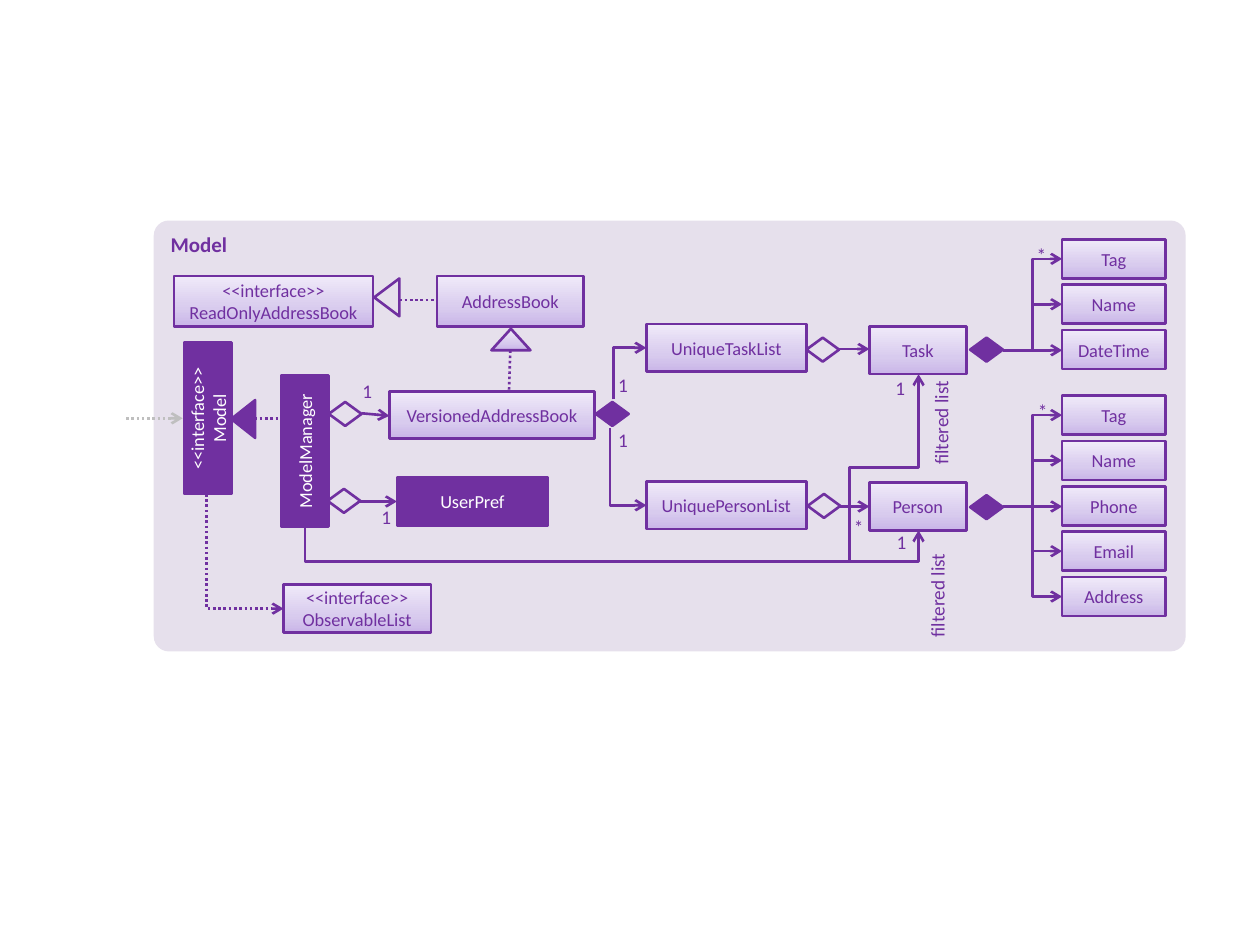
from copy import deepcopy

from lxml.etree import SubElement
from pptx import Presentation
from pptx.dml.color import RGBColor
from pptx.enum.dml import MSO_LINE
from pptx.enum.shapes import MSO_CONNECTOR, MSO_SHAPE
from pptx.enum.text import MSO_ANCHOR, PP_ALIGN
from pptx.oxml.ns import qn
from pptx.util import Inches, Pt

PURPLE = RGBColor(0x70, 0x30, 0xA0)
LAVENDER = RGBColor(0xE6, 0xE0, 0xEC)
WHITE = RGBColor(0xFF, 0xFF, 0xFF)
GRAY = RGBColor(0xBF, 0xBF, 0xBF)
GRADIENT = [(0, RGBColor(0xC9, 0xB5, 0xE8)),
            (0.35, RGBColor(0xD8, 0xCB, 0xEE)),
            (1, RGBColor(0xF0, 0xEA, 0xF9))]

deck = Presentation()
deck.slide_width, deck.slide_height = Inches(10), Inches(7.5)
page = deck.slides.add_slide(deck.slide_layouts[6])


def add_box(text, left, top, width, height, kind=MSO_SHAPE.RECTANGLE, fill=GRADIENT,
            line=PURPLE, color=PURPLE, size=10.5, bold=False, rotation=0,
            align=PP_ALIGN.CENTER, anchor=MSO_ANCHOR.MIDDLE, inset=None):
    """Add a shape, or a text box when kind is None, with formatted text."""
    place = [Inches(value) for value in (left, top, width, height)]
    if kind is None:
        box = page.shapes.add_textbox(*place)
    else:
        box = page.shapes.add_shape(kind, *place)
        box.shadow.inherit = False
        if fill is GRADIENT:
            box.fill.gradient()
            box.fill.gradient_angle = 90
            stops = box._element.spPr.find(qn("a:gradFill")).find(qn("a:gsLst"))
            stops.append(deepcopy(stops[0]))
            for stop, (position, shade) in zip(box.fill.gradient_stops, GRADIENT):
                stop.position = position
                stop.color.rgb = shade
        elif fill is None:
            box.fill.background()
        else:
            box.fill.solid()
            box.fill.fore_color.rgb = fill
        if line is None:
            box.line.fill.background()
        else:
            box.line.color.rgb = line
            box.line.width = Pt(1.5)
    box.rotation = rotation
    if text:
        frame = box.text_frame
        frame.word_wrap = True
        frame.vertical_anchor = anchor
        if inset is not None:
            frame.margin_left = frame.margin_right = Inches(inset)
            frame.margin_top = frame.margin_bottom = Inches(inset)
        frame.text = text
        for para in frame.paragraphs:
            para.alignment = align
            for span in para.runs:
                span.font.name = "Calibri"
                span.font.size = Pt(size)
                span.font.bold = bold
                span.font.color.rgb = color
    return box


def add_line(start, end, route="straight", turn=None, color=PURPLE, dotted=False, arrow=True):
    """Join two points: straight, elbow, corner (down or up, then across) or
    step (vertical, across at height turn, vertical)."""
    (x1, y1), (x2, y2) = start, end
    kind = MSO_CONNECTOR.STRAIGHT if route == "straight" else MSO_CONNECTOR.ELBOW
    upright = route in ("corner", "step")
    if upright:
        # The route is laid out sideways about its centre, then rotated.
        middle_x, middle_y = (x1 + x2) / 2, (y1 + y2) / 2
        half_width = abs(y2 - y1) / 2
        half_rise = (x1 - x2) / 2 if y2 > y1 else (x2 - x1) / 2
        x1, x2 = middle_x - half_width, middle_x + half_width
        y1, y2 = middle_y - half_rise, middle_y + half_rise
    joint = page.shapes.add_connector(kind, Inches(x1), Inches(y1), Inches(x2), Inches(y2))
    joint.line.color.rgb = color
    joint.line.width = Pt(1.5)
    properties = joint._element.spPr
    if upright:
        turned = 90 if end[1] > start[1] else 270
        properties.find(qn("a:xfrm")).set("rot", str(turned * 60000))
        geometry = properties.find(qn("a:prstGeom"))
        if route == "corner":
            geometry.set("prst", "bentConnector2")
        else:
            share = (turn - start[1]) / (end[1] - start[1])
            SubElement(geometry.find(qn("a:avLst")), qn("a:gd"), name="adj1",
                       fmla=f"val {round(share * 100000)}")
    if dotted:
        joint.line.dash_style = MSO_LINE.ROUND_DOT
    if arrow:
        SubElement(properties.find(qn("a:ln")), qn("a:tailEnd"), type="arrow")
    SubElement(properties, qn("a:effectLst"))


panel = add_box("Model", 1.22, 1.75, 8.19, 3.42, kind=MSO_SHAPE.ROUNDED_RECTANGLE,
                fill=LAVENDER, line=None, size=12, bold=True, align=PP_ALIGN.LEFT,
                anchor=MSO_ANCHOR.TOP)
panel.adjustments[0] = 0.035

# Classes
for name, left, top, width, rotation in [
        ("UserPref", 3.15, 3.79, 1.2, 0),
        ("ModelManager", 1.82, 3.39, 1.2, 270),
        ("<<interface>>\nModel", 1.05, 3.13, 1.2, 270)]:
    add_box(name, left, top, width, 0.38, fill=PURPLE, color=WHITE, rotation=rotation)

for name, left, top, width, height in [
        ("VersionedAddressBook", 3.09, 3.11, 1.63, 0.37),
        ("<<interface>>\vReadOnlyAddressBook", 1.38, 2.19, 1.58, 0.4),
        ("AddressBook", 3.47, 2.19, 1.16, 0.4),
        ("<<interface>>\vObservableList", 2.25, 4.64, 1.17, 0.38),
        ("UniqueTaskList", 5.13, 2.57, 1.27, 0.38),
        ("UniquePersonList", 5.13, 3.82, 1.27, 0.38),
        ("Task", 6.9, 2.59, 0.77, 0.38),
        ("Person", 6.9, 3.83, 0.77, 0.38)]:
    add_box(name, left, top, width, height)

# Fields of Task and Person
for first_top, hub, fields in [
        (1.9, 2.78, ["Tag", "Name", "DateTime"]),
        (3.14, 4.02, ["Tag", "Name", "Phone", "Email", "Address"])]:
    for index, field in enumerate(fields):
        top = first_top + 0.36 * index
        center = top + 0.155
        add_box(field, 8.43, top, 0.82, 0.31)
        if abs(center - hub) < 0.02:
            add_line((7.96, hub), (8.43, hub))
        else:
            add_line((7.96, hub), (8.43, center), route="elbow")

# Inheritance
add_line((2.02, 3.32), (2.26, 3.32), dotted=True, arrow=False)
add_line((4.05, 2.78), (4.04, 3.1), dotted=True, arrow=False)
add_line((3.17, 2.38), (3.47, 2.38), dotted=True, arrow=False)
for left, top, width, height, fill, rotation in [
        (1.78, 3.23, 0.3, 0.19, PURPLE, 270),
        (3.9, 2.61, 0.31, 0.17, GRADIENT, 0),
        (2.92, 2.26, 0.3, 0.2, LAVENDER, 270)]:
    add_box("", left, top, width, height, kind=MSO_SHAPE.ISOSCELES_TRIANGLE,
            fill=fill, rotation=rotation)

# Aggregation and composition
for left, top, fill in [
        (2.6, 3.88, None), (2.61, 3.19, None), (6.41, 3.92, None), (6.4, 2.68, None),
        (4.73, 3.19, PURPLE), (7.7, 3.93, PURPLE), (7.7, 2.68, PURPLE)]:
    add_box("", left, top, 0.26, 0.19, kind=MSO_SHAPE.FLOWCHART_DECISION, fill=fill)

# Associations
for start, end in [((2.85, 3.98), (3.15, 3.98)), ((2.87, 3.28), (3.09, 3.3)),
                   ((6.67, 4.02), (6.9, 4.02)), ((6.66, 2.77), (6.9, 2.77))]:
    add_line(start, end)
add_line((1, 3.32), (1.45, 3.32), color=GRAY, dotted=True)
add_line((1.64, 3.92), (2.25, 4.83), route="corner", dotted=True)
add_line((4.84, 3.4), (5.13, 4.01), route="corner")
add_line((4.87, 3.17), (5.13, 2.76), route="corner")
add_line((2.42, 4.18), (7.29, 4.21), route="step", turn=4.46)
add_line((6.74, 4.45), (7.29, 2.97), route="step", turn=3.71)

# Multiplicities and roles
for mark, left, top in [
        ("1", 4.84, 3.4), ("1", 4.84, 2.96), ("1", 2.81, 3.01), ("1", 2.96, 4.01),
        ("1", 7.05, 4.21), ("1", 7.04, 2.99),
        ("*", 6.71, 4.09), ("*", 8.17, 3.17), ("*", 8.16, 1.93)]:
    add_box(mark, left, top, 0.21, 0.2, kind=None, size=11, anchor=MSO_ANCHOR.TOP, inset=0)
for left, top in [(6.96, 4.63), (6.99, 3.26)]:
    add_box("filtered list", left, top, 0.96, 0.29, kind=None, size=11, rotation=270,
            align=PP_ALIGN.RIGHT, anchor=MSO_ANCHOR.TOP)

deck.save("out.pptx")
